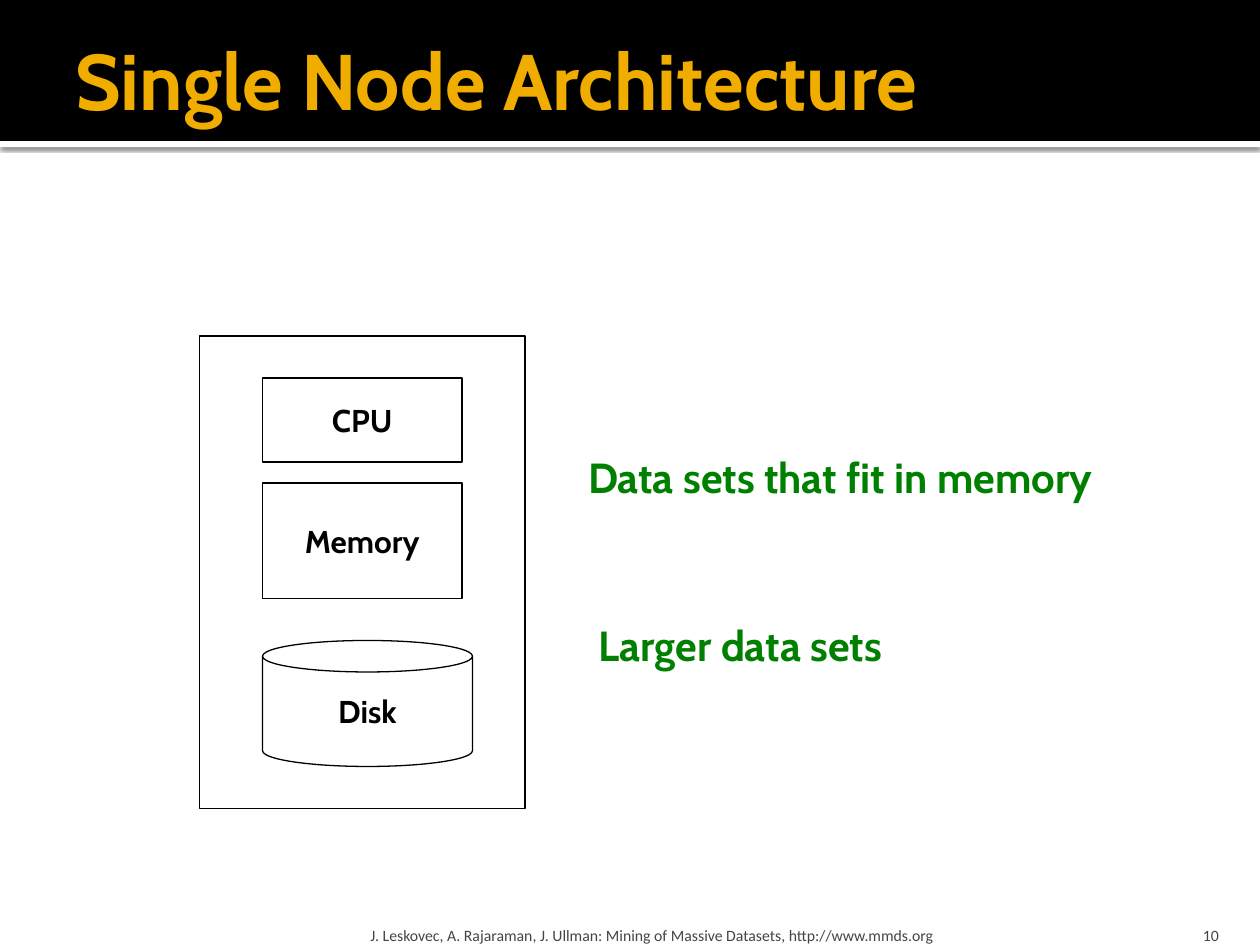
from dataclasses import dataclass

from lxml.etree import SubElement
from pptx import Presentation
from pptx.dml.color import RGBColor
from pptx.enum.shapes import MSO_SHAPE
from pptx.enum.text import MSO_ANCHOR, MSO_AUTO_SIZE, PP_ALIGN
from pptx.oxml.ns import qn
from pptx.util import Pt


@dataclass(frozen=True)
class Theme:
    heading_font: str = "Cabin"
    footer_font: str = "Calibri"
    black: str = "000000"
    white: str = "FFFFFF"
    gold: str = "F0AD00"
    green: str = "008000"
    grey: str = "454545"
    title_size: float = 45
    note_size: float = 24
    part_size: float = 18
    footer_size: float = 9
    outline: float = 0.75


THEME = Theme()
SLIDE_WIDTH, SLIDE_HEIGHT = 720, 540
BAND_HEIGHT = 80.5
PART_LEFT = 150
DEFAULT_INSETS = (7.2, 3.6, 7.2, 3.6)


def place(shape, bounds):
    for name, value in zip(("left", "top", "width", "height"), bounds):
        setattr(shape, name, Pt(value))


def write(shape, text, size, color, font=THEME.heading_font, bold=True,
          align=PP_ALIGN.LEFT, insets=DEFAULT_INSETS, **frame_format):
    """Put one formatted paragraph in a shape; frame_format sets text frame attributes."""
    frame = shape.text_frame
    frame.text = text
    sides = ("margin_left", "margin_top", "margin_right", "margin_bottom")
    frame_format.update(zip(sides, map(Pt, insets)))
    for name, value in frame_format.items():
        setattr(frame, name, value)
    para = frame.paragraphs[0]
    para.alignment = align
    for name, value in {"name": font, "size": Pt(size), "bold": bold}.items():
        setattr(para.font, name, value)
    para.font.color.rgb = RGBColor.from_string(color)


def add_band(slide, top, height, color):
    band = slide.shapes.add_shape(
        MSO_SHAPE.RECTANGLE, 0, Pt(top), Pt(SLIDE_WIDTH), Pt(height))
    band.fill.solid()
    band.fill.fore_color.rgb = RGBColor.from_string(color)
    band.line.fill.background()
    band.shadow.inherit = False
    return band


def add_drop_shadow(shape):
    effects = shape._element.spPr.find(qn("a:effectLst"))
    shadow = SubElement(effects, qn("a:outerShdw"), blurRad=str(Pt(2.5)),
                        dist=str(Pt(0.8)), dir="5400000", rotWithShape="0")
    color = SubElement(shadow, qn("a:srgbClr"), val=THEME.black)
    SubElement(color, qn("a:alpha"), val="60000")


def add_title(slide, text):
    title = slide.shapes.title
    title._element.getparent().append(title._element)  # in front of the bands
    place(title, (36, 6, 648, 78))
    write(title, text, THEME.title_size, THEME.gold, insets=(7.2, 3.6, 3.6, 3.6),
          vertical_anchor=MSO_ANCHOR.MIDDLE, word_wrap=True,
          auto_size=MSO_AUTO_SIZE.NONE)


def add_outline(slide, kind, bounds):
    shape = slide.shapes.add_shape(kind, *map(Pt, bounds))
    shape.shadow.inherit = False
    shape.fill.background()
    shape.line.color.rgb = RGBColor.from_string(THEME.black)
    shape.line.width = Pt(THEME.outline)
    return shape


def add_part(slide, label, kind, top, width, height):
    part = add_outline(slide, kind, (PART_LEFT, top, width, height))
    write(part, label, THEME.part_size, THEME.black, align=PP_ALIGN.CENTER,
          vertical_anchor=MSO_ANCHOR.MIDDLE, word_wrap=False)


def add_note(slide, text, bounds):
    box = slide.shapes.add_textbox(*map(Pt, bounds))
    write(box, text, THEME.note_size, THEME.green, word_wrap=False,
          auto_size=MSO_AUTO_SIZE.SHAPE_TO_FIT_TEXT)


def add_footer(slide, text, left, width, side_inset, align):
    box = slide.shapes.add_textbox(Pt(left), Pt(518.4), Pt(width), Pt(21.6))
    write(box, text, THEME.footer_size, THEME.grey, THEME.footer_font, False, align,
          (side_inset, 3.6, side_inset, 0),
          vertical_anchor=MSO_ANCHOR.BOTTOM, word_wrap=True)


def main():
    deck = Presentation()
    deck.slide_width, deck.slide_height = Pt(SLIDE_WIDTH), Pt(SLIDE_HEIGHT)
    slide = deck.slides.add_slide(deck.slide_layouts.get_by_name("Title Only"))

    add_drop_shadow(add_band(slide, BAND_HEIGHT, 3.6, THEME.white))
    add_band(slide, 0, BAND_HEIGHT, THEME.black)
    add_title(slide, "Single Node Architecture")

    for part in (("CPU", MSO_SHAPE.RECTANGLE, 216, 114, 48),
                 ("Memory", MSO_SHAPE.RECTANGLE, 276, 114, 66),
                 ("Disk", MSO_SHAPE.CAN, 366, 120, 72)):
        add_part(slide, *part)
    add_outline(slide, MSO_SHAPE.RECTANGLE, (114, 192, 186, 270))

    add_note(slide, "Data sets that fit in memory", (329, 254.4, 308, 36))
    add_note(slide, "Larger data sets", (335, 350.4, 183, 36))

    add_footer(slide, "J. Leskovec, A. Rajaraman, J. Ullman: Mining of Massive "
               "Datasets, http://www.mmds.org", 208, 433.6, 3.6, PP_ALIGN.LEFT)
    add_footer(slide, "10", 646, 57.6, 7.2, PP_ALIGN.RIGHT)
    deck.save("out.pptx")


if __name__ == "__main__":
    main()
